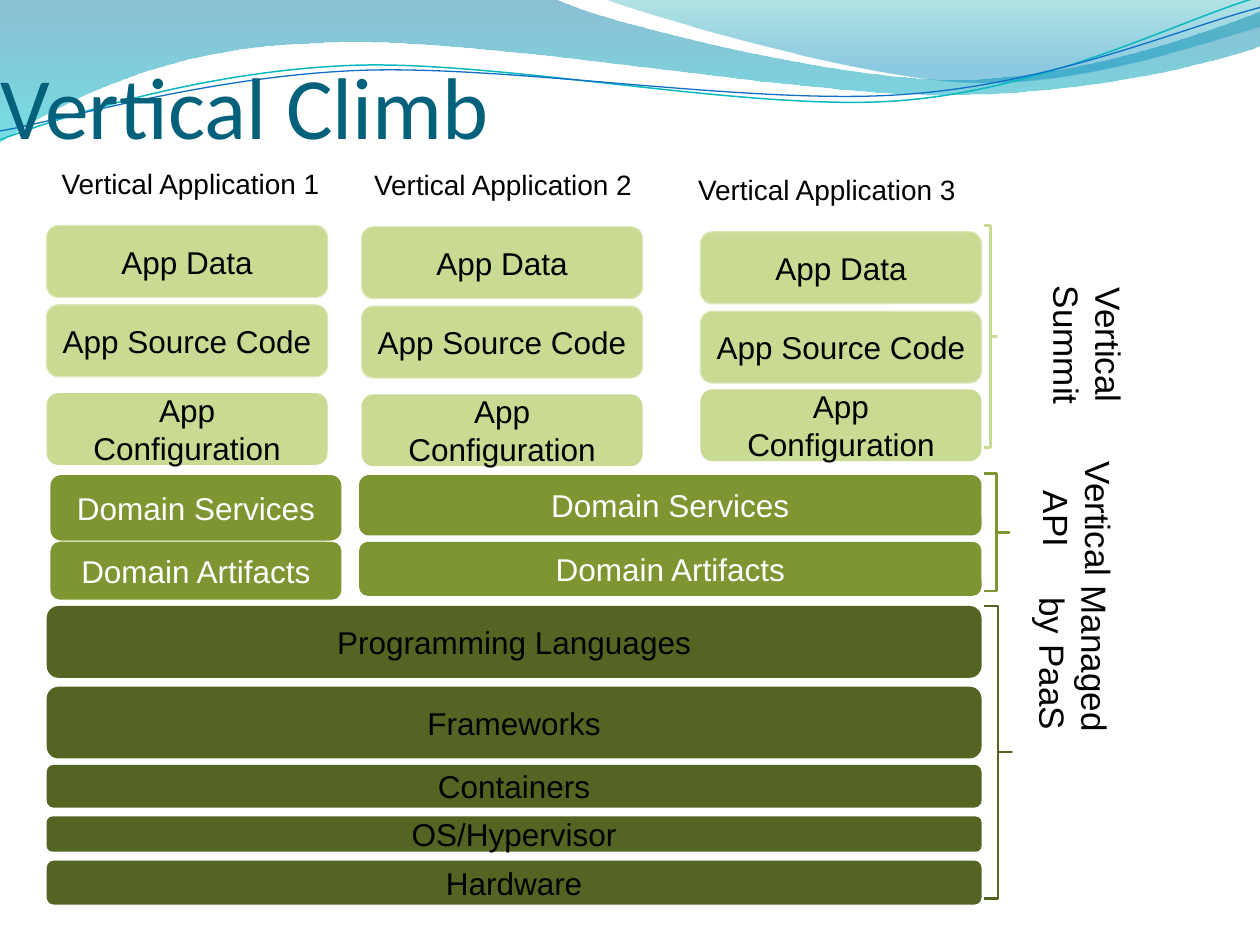
"""Build the "Vertical Climb" slide: application stacks above a shared platform."""
import math

from lxml import etree
from pptx import Presentation
from pptx import util as u
from pptx.dml.color import RGBColor
from pptx.enum import shapes, text
from pptx.oxml.ns import qn

PX = 9144
COLORS = {
    "summit": "C9DA92", "summit_edge": "DBE7B6", "api": "7E9632", "paas": "546422",
    "title": "04617B", "black": "000000", "white": "FFFFFF",
    "deep": "0074A1", "cyan": "00C6CF", "teal": "00A1A9", "sky": "008BBF",
    "teal_line": "0AB8BF", "blue_line": "0F6FC6",
}
RGB = {name: RGBColor.from_string(value) for name, value in COLORS.items()}

deck = Presentation()
deck.slide_width, deck.slide_height = 1000 * PX, 750 * PX
slide = deck.slides.add_slide(deck.slide_layouts[5])


def add_wave(start, steps, tilt=0, center=(0, 0)):
    """Outline of straight (2 numbers) and cubic (6 numbers) steps, tilted about a center."""
    cos, sin = math.cos(math.radians(tilt)), math.sin(math.radians(tilt))
    strokes = []
    for step in [start, *steps]:
        offsets = [(x - center[0], y - center[1]) for x, y in zip(step[::2], step[1::2])]
        strokes.append([(round((center[0] + x * cos + y * sin) * PX),
                         round((center[1] + y * cos - x * sin) * PX)) for x, y in offsets])
    ends = [stroke[-1] for stroke in strokes]
    builder = slide.shapes.build_freeform(*ends[0], scale=1.0)
    builder.add_line_segments(ends[1:], close=ends[0] == ends[-1])
    wave = builder.convert_to_shape()
    wave.shadow.inherit = False
    for segment, stroke in zip(list(wave.element.iter(qn("a:lnTo"))), strokes[1:]):
        if len(stroke) == 3:
            segment.tag = qn("a:cubicBezTo")
            for i, (x, y) in enumerate(stroke[:2]):
                control = etree.Element(qn("a:pt"), x=str(x - wave.left), y=str(y - wave.top))
                segment.insert(i, control)
    wave.rotation = tilt
    return wave


def add_block(label, box, fill=None, edge=None, color="black", size=18):
    """Rounded block with its label."""
    block = slide.shapes.add_shape(shapes.MSO_SHAPE.ROUNDED_RECTANGLE, *(v * PX for v in box))
    block.shadow.inherit = False
    if fill:
        block.fill.solid()
        block.fill.fore_color.rgb = RGB[fill]
    else:
        block.fill.background()
    if edge:
        block.line.color.rgb = RGB[edge]
        block.line.width = u.Pt(0.75)
    else:
        block.line.fill.background()
    frame = block.text_frame
    frame.text = label
    frame.vertical_anchor = text.MSO_ANCHOR.MIDDLE if fill else text.MSO_ANCHOR.TOP
    frame.paragraphs[0].alignment = text.PP_ALIGN.CENTER if fill else text.PP_ALIGN.LEFT
    font = frame.paragraphs[0].runs[0].font
    font.name, font.size, font.color.rgb = "Arial", u.Pt(size), RGB[color]


bands = [
    ((0, 0), [(440, -1), (476, 17, 664, 63, 758, 63), (853, 63, 958, 26, 1000, 9), (1001, 36),
              (983, 44, 870, 76, 746, 75), (622, 75, 382, 28, 257, 34),
              (129, 36, 46, 83, -1, 113), (0, 0)],
     [(0, "deep", 45), (1, "cyan", 55)]),
    ((479, -1), [(509, 11, 682, 62, 769, 65), (856, 69, 961, 32, 1000, 21), (1000, 0), (479, -1)],
     [(0, "teal", 30), (0.8, "sky", 45)]),
]
for start, steps, stops in bands:
    band = add_wave(start, steps)
    band.line.fill.background()
    band.fill.gradient()
    band.fill.gradient_angle = 270
    for stop, (position, color, opacity) in zip(band.fill.gradient_stops, stops):
        stop.position = position
        stop.color.rgb = RGB[color]
    for tint, (_, _, opacity) in zip(band.element.spPr.iter(qn("a:srgbClr")), stops):
        etree.SubElement(tint, qn("a:alpha")).set("val", str(opacity * 1000))

ripples = [
    ((0, 111), [(48, 93, 158, 57, 277, 52), (395, 47, 593, 89, 713, 80),
                (833, 71, 938, 15, 998, -2)], (499, 57), "teal_line", 0.85),
    ((0, 104), [(47, 96, 164, 61, 283, 56), (403, 51, 597, 84, 717, 75),
                (836, 67, 941, 21, 1000, 6)], (500, 59), "blue_line", 0.75),
]
for start, steps, center, color, width in ripples:
    ripple = add_wave(start, steps, -2.7, center)
    ripple.fill.background()
    ripple.line.color.rgb = RGB[color]
    ripple.line.width = u.Pt(width)

title = slide.shapes.title
title.element.getparent().append(title.element)
title.left, title.top, title.width, title.height = 0, 0, 1000 * PX, 125 * PX
heading = title.text_frame
heading.text = "Vertical Climb"
heading.vertical_anchor = text.MSO_ANCHOR.BOTTOM
heading.margin_left = heading.margin_right = heading.margin_bottom = 0
heading.margin_top = 5 * PX
heading.paragraphs[0].alignment = text.PP_ALIGN.LEFT
heading_font = heading.paragraphs[0].runs[0].font
heading_font.name, heading_font.size, heading_font.color.rgb = "Calibri", u.Pt(50), RGB["title"]

applications = [
    ((37, 125, 234, 44), 37, (179, 242, 312)),
    ((285, 126, 234, 44), 287, (180, 243, 313)),
    ((542, 130, 252, 44), 556, (184, 247, 309)),
]
app_parts = [("App Data", "summit_edge"), ("App Source Code", "summit_edge"),
             ("App Configuration", None)]
for number, (caption_box, left, tops) in enumerate(applications, 1):
    add_block(f"Vertical Application {number}", caption_box, size=16)
    for (part, edge), top in zip(app_parts, tops):
        add_block(part, (left, top, 223, 57), "summit", edge)

for left, width, heights in [(40, 231, (52, 46)), (285, 494, (48, 43))]:
    for part, top, height in zip(("Domain Services", "Domain Artifacts"), (377, 430), heights):
        add_block(part, (left, top, width, height), "api", color="white")

platform = [("Programming Languages", 481, 57), ("Frameworks", 545, 57), ("Containers", 607, 34),
            ("OS/Hypervisor", 648, 28), ("Hardware", 683, 35)]
for part, top, height in platform:
    add_block(part, (37, top, 742, height), "paas")

for top, width, height, color in [(179, 10, 176, "summit"), (376, 20, 93, "api"),
                                  (481, 22, 232, "paas")]:
    brace = slide.shapes.add_shape(shapes.MSO_SHAPE.LEFT_BRACE, 781 * PX, top * PX,
                                   width * PX, height * PX)
    brace.adjustments[0], brace.adjustments[1] = 0, 0.5
    brace.element.spPr.xfrm.set("flipH", "1")
    brace.shadow.inherit = False
    brace.fill.background()
    brace.line.color.rgb = RGB[color]
    brace.line.width = u.Pt(1.5)

layers = [
    ("Vertical Summit", (814, 215, 88, 118), 180, "vert270", True),
    ("Vertical API", (806, 353, 88, 118), 180, "vert270", True),
    ("Managed\v by PaaS", (803, 455, 88, 192), 0, "eaVert", False),
]
for label, box, turn, direction, wrap in layers:
    layer = slide.shapes.add_textbox(*(v * PX for v in box))
    layer.rotation = turn
    frame = layer.text_frame
    frame.text = label
    frame.word_wrap = wrap
    frame.auto_size = text.MSO_AUTO_SIZE.SHAPE_TO_FIT_TEXT
    frame.paragraphs[0].alignment = text.PP_ALIGN.CENTER
    layer.element.txBody.bodyPr.set("vert", direction)
    for run in frame.paragraphs[0].runs:
        run.font.name, run.font.size, run.font.color.rgb = "Arial", u.Pt(20), RGB["black"]

deck.save("out.pptx")
